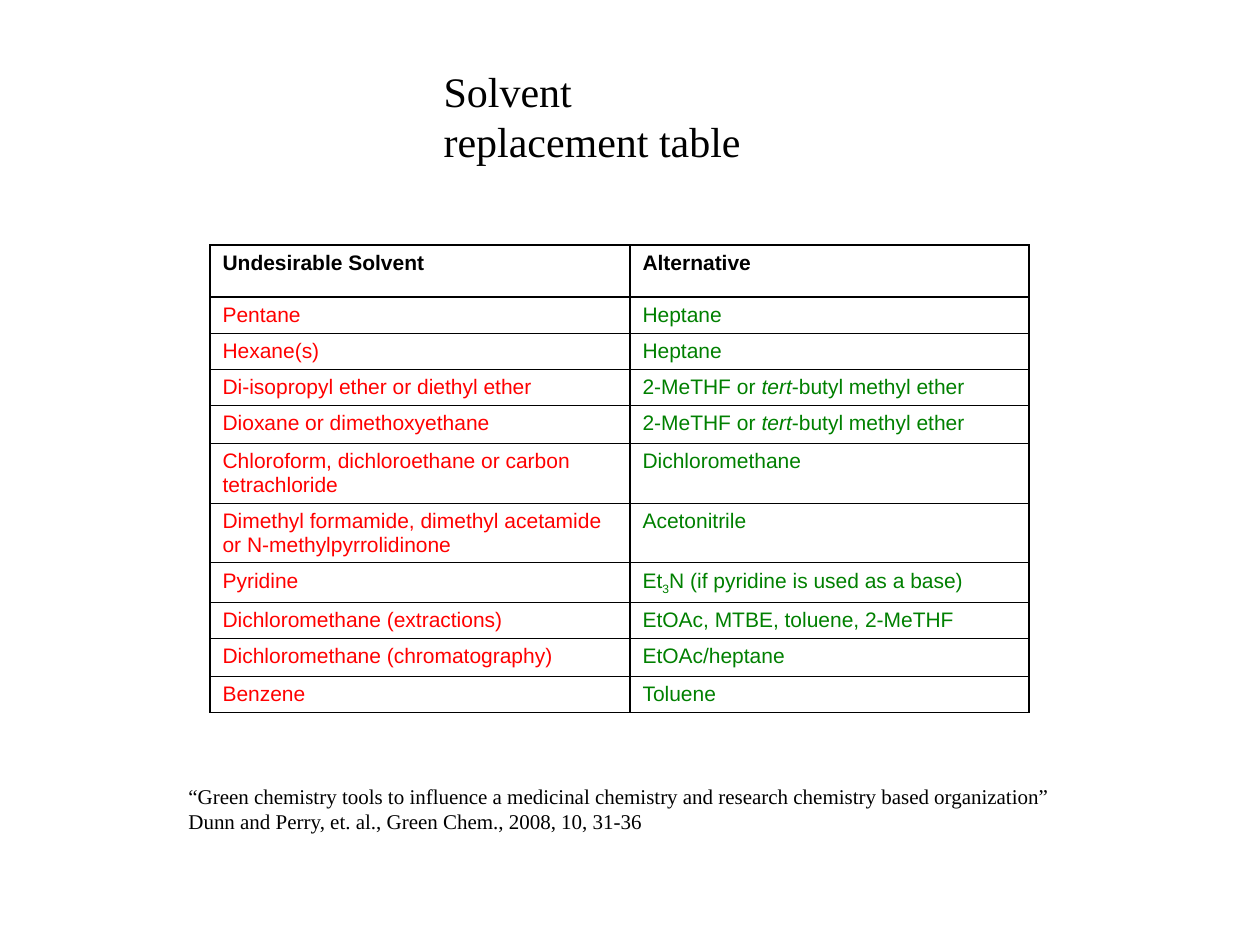
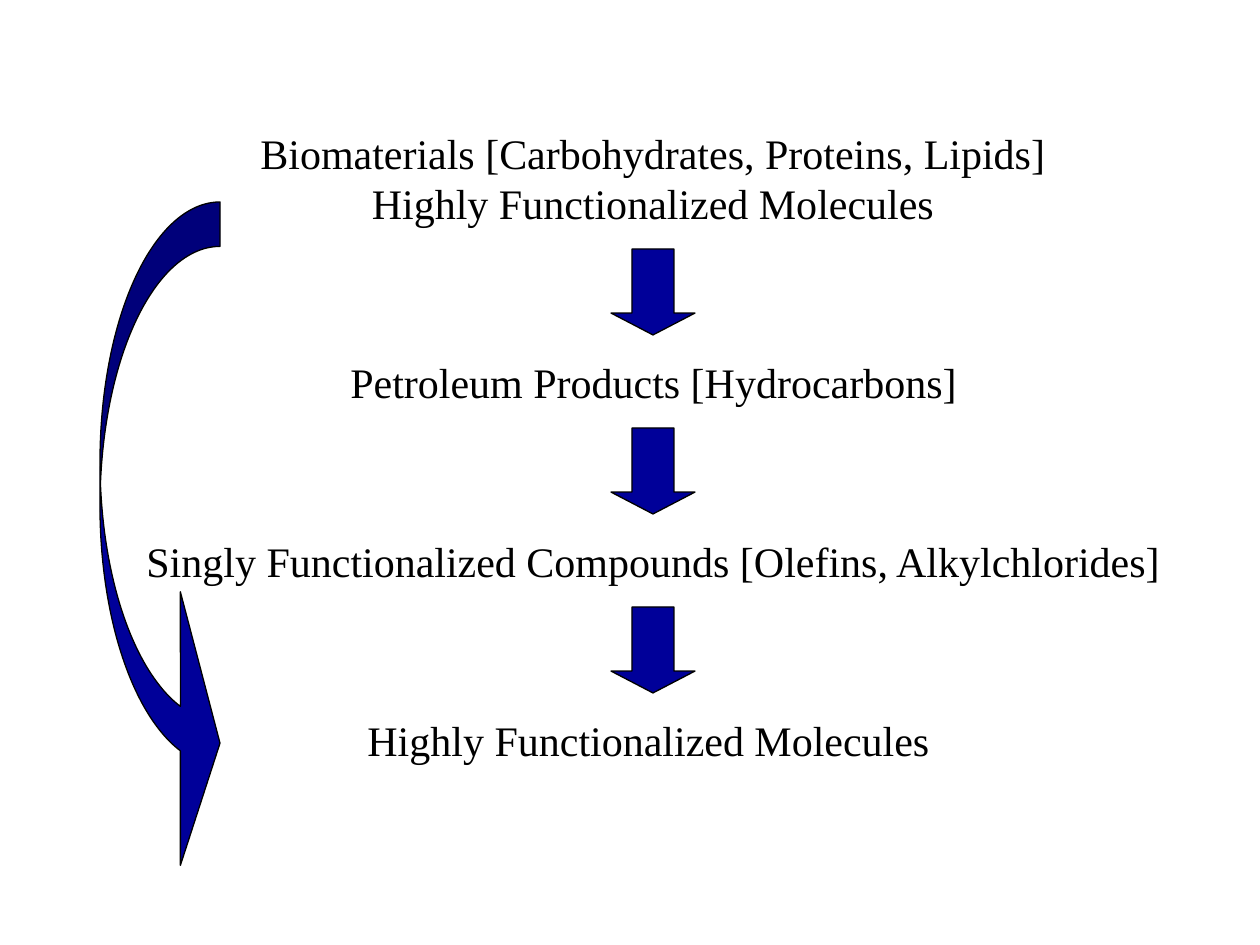
from pptx import Presentation
from pptx.dml.color import RGBColor
from pptx.enum.shapes import MSO_SHAPE as Shape
from pptx.enum.text import MSO_ANCHOR as Anchor, MSO_AUTO_SIZE as AutoSize, PP_ALIGN as Align
from pptx.oxml import parse_xml
from pptx.oxml.ns import nsdecls
from pptx.util import Pt

EMU_PER_PX = 914400 // 126
TITLE_ONLY, BLANK = 5, 6
BLACK, WHITE, NAVY, RED, GREEN = "000000", "FFFFFF", "000099", "FF0000", "008000"
LINE_WIDTH = 0.75
HEADING = {"name": "Times New Roman", "size": Pt(24), "bold": False}
CITATION = {**HEADING, "size": Pt(12)}
CELL = {"name": "Arial", "size": Pt(12), "bold": False}
HEADER = {**CELL, "bold": True}
FRAME = {"auto_size": AutoSize.NONE, "vertical_anchor": Anchor.TOP}

BUTYL_ETHER = [("2-MeTHF or ", ""), ("tert", "italic"), ("-butyl methyl ether", "")]
SOLVENTS = [
    (52, "Undesirable Solvent", "Alternative"),
    (33, "Pentane", "Heptane"),
    (34, "Hexane(s)", "Heptane"),
    (35, "Di-isopropyl ether or diethyl ether", BUTYL_ETHER),
    (38, "Dioxane or dimethoxyethane", BUTYL_ETHER),
    (52, "Chloroform, dichloroethane or carbon tetrachloride", "Dichloromethane"),
    (52, "Dimethyl formamide, dimethyl acetamide or N-methylpyrrolidinone", "Acetonitrile"),
    (29, "Pyridine", [("Et", ""), ("3", "subscript"), ("N (if pyridine is used as a base)", "")]),
    (33, "Dichloromethane (extractions)", "EtOAc, MTBE, toluene, 2-MeTHF"),
    (38, "Dichloromethane (chromatography)", "EtOAc/heptane"),
    (30, "Benzene", "Toluene"),
]
SOLVENT_COLUMNS = (420, 399)
SOURCE = [
    "“Green chemistry tools to influence a medicinal chemistry and research chemistry based organization”",
    "Dunn and Perry, et. al., Green Chem., 2008, 10, 31-36",
]
BIOMATERIALS = ["Biomaterials [Carbohydrates, Proteins, Lipids]", "Highly Functionalized Molecules"]
STAGES = [
    ("Petroleum Products [Hydrocarbons]", 338, 633),
    ("Singly Functionalized Compounds [Olefins, Alkylchlorides]", 134, 1042),
    ("Highly Functionalized Molecules", 355, 599),
]
FIRST_ARROW_TOP, FIRST_STAGE_TOP, STAGE_STEP = 249, 350, 179


def px(length):
    """Turn pixels into EMU."""
    return length * EMU_PER_PX


def box(*lengths):
    """Turn left, top, width and height into EMU."""
    return [px(length) for length in lengths]


def rgb(color):
    """Turn a hex string into a colour."""
    return RGBColor.from_string(color)


def apply(target, values):
    """Set each attribute named in a dict of format values."""
    for name, value in values.items():
        setattr(target, name, value)


def add_run(paragraph, text, font, color, accent=""):
    """Append a run, optionally italic or subscript."""
    run = paragraph.add_run()
    run.text = text
    apply(run.font, font)
    run.font.color.rgb = rgb(color)
    if accent == "italic":
        run.font.italic = True
    elif accent == "subscript":
        run.font._element.set("baseline", "-25000")


def write(frame, lines, font, color=BLACK, align=Align.LEFT):
    """Fill a text frame with lines of plain text or lists of runs."""
    for index, line in enumerate(lines):
        paragraph = frame.paragraphs[0] if index == 0 else frame.add_paragraph()
        paragraph.alignment = align
        for text, accent in [(line, "")] if isinstance(line, str) else line:
            add_run(paragraph, text, font, color, accent)


def add_title(slide, text, left, top, width, height):
    """Move and fill the title placeholder."""
    title = slide.shapes.title
    apply(title, dict(zip(("left", "top", "width", "height"), box(left, top, width, height))))
    apply(title.text_frame, {**FRAME, "word_wrap": True})
    write(title.text_frame, [text], HEADING)


def add_text(slide, lines, bounds, font, align=Align.LEFT):
    """Add a text box whose lines do not wrap."""
    frame = slide.shapes.add_textbox(*box(*bounds)).text_frame
    apply(frame, {**FRAME, "word_wrap": False})
    write(frame, lines, font, align=align)


def add_arrow(slide, preset, bounds, adjustments):
    """Add a navy block arrow."""
    arrow = slide.shapes.add_shape(preset, *box(*bounds))
    for index, value in enumerate(adjustments):
        arrow.adjustments[index] = value
    arrow.shadow.inherit = False
    arrow.fill.solid()
    arrow.fill.fore_color.rgb = rgb(NAVY)
    arrow.line.color.rgb = rgb(BLACK)
    arrow.line.width = Pt(LINE_WIDTH)


def style_cell(cell):
    """Give a cell a white fill and a thin black border."""
    properties = cell._tc.get_or_add_tcPr()
    for side in ("lnL", "lnR", "lnT", "lnB"):
        properties.append(parse_xml(
            f'<a:{side} {nsdecls("a")} w="{Pt(LINE_WIDTH)}"><a:solidFill>'
            f'<a:srgbClr val="{BLACK}"/></a:solidFill></a:{side}>'))
    cell.fill.solid()
    cell.fill.fore_color.rgb = rgb(WHITE)


def add_solvent_table(slide, left, top):
    """Add the table of solvents and their alternatives."""
    height = sum(row[0] for row in SOLVENTS)
    bounds = box(left, top, sum(SOLVENT_COLUMNS), height)
    table = slide.shapes.add_table(len(SOLVENTS), len(SOLVENT_COLUMNS), *bounds).table
    apply(table, {"first_row": False, "horz_banding": False})
    for column, width in zip(table.columns, SOLVENT_COLUMNS):
        column.width = px(width)
    for index, (row, (row_height, *entries)) in enumerate(zip(table.rows, SOLVENTS)):
        row.height = px(row_height)
        font, colors = (CELL, (RED, GREEN)) if index else (HEADER, (BLACK, BLACK))
        for cell, entry, color in zip(row.cells, entries, colors):
            style_cell(cell)
            write(cell.text_frame, [entry], font, color)


def build_solvent_slide(deck):
    """Build the solvent replacement slide."""
    slide = deck.slides.add_slide(deck.slide_layouts[TITLE_ONLY])
    add_solvent_table(slide, 210, 245)
    add_title(slide, "Solvent replacement table", 431, 59, 364, 50)
    add_text(slide, SOURCE, (176, 777, 906, 64), CITATION)


def build_feedstock_slide(deck):
    """Build the chain from biomaterials to functionalized molecules."""
    slide = deck.slides.add_slide(deck.slide_layouts[BLANK])
    add_text(slide, BIOMATERIALS, (248, 121, 810, 113), HEADING, Align.CENTER)
    for index, (stage, left, width) in enumerate(STAGES):
        offset = index * STAGE_STEP
        add_text(slide, [stage], (left, FIRST_STAGE_TOP + offset, width, 63), HEADING)
        add_arrow(slide, Shape.DOWN_ARROW, (611, FIRST_ARROW_TOP + offset, 84, 86), (0.5, 0.26))
    add_arrow(slide, Shape.CURVED_RIGHT_ARROW, (100, 202, 120, 678), (0.37, 2.28, 0.33))


def main():
    """Build and save the deck."""
    deck = Presentation()
    apply(deck, {"slide_width": px(1260), "slide_height": px(945)})
    build_solvent_slide(deck)
    build_feedstock_slide(deck)
    deck.save("out.pptx")


if __name__ == "__main__":
    main()
